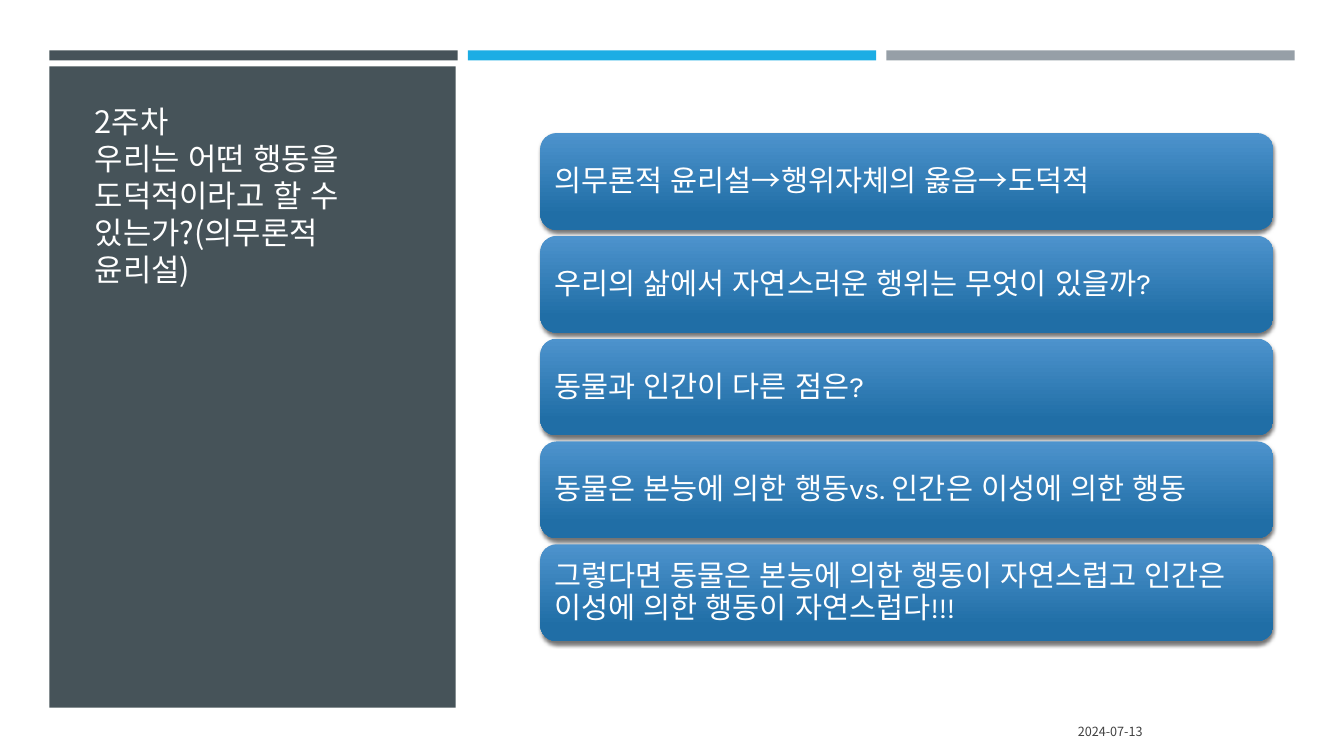
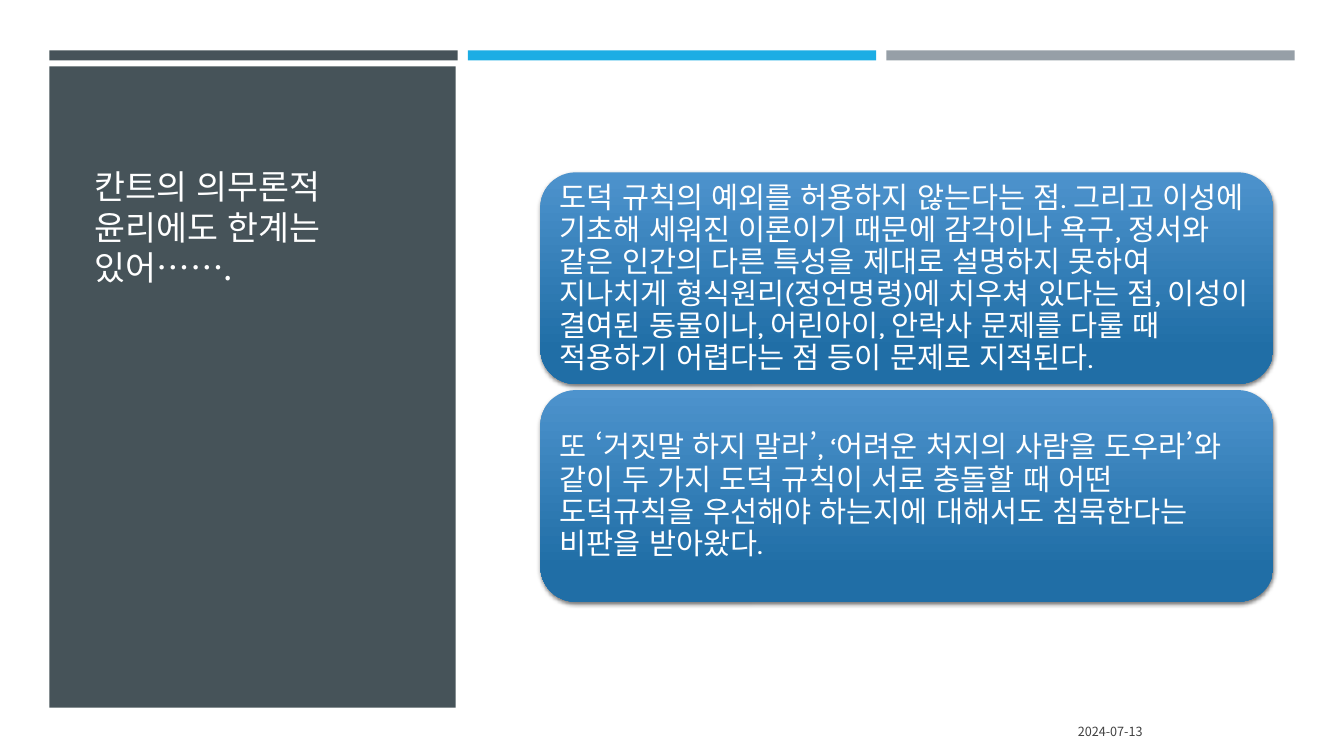
"""Build two lesson slides on deontological ethics."""
from dataclasses import dataclass

from lxml import etree
from pptx import Presentation
from pptx import util as u
from pptx.dml.color import RGBColor
from pptx.enum import lang, shapes, text
from pptx.oxml import ns

SLATE = RGBColor(0x46, 0x53, 0x59)
SKY = RGBColor(0x1C, 0xAD, 0xE4)
GREY = RGBColor(0x96, 0x9F, 0xA7)
CARD_TOP = RGBColor(0x4D, 0x93, 0xCD)
CARD_BOTTOM = RGBColor(0x20, 0x6E, 0xA6)
WHITE = RGBColor(0xFF, 0xFF, 0xFF)
DARK = RGBColor(0x40, 0x40, 0x40)

KOREAN_FONT = "Noto Sans CJK KR"
CARD_FONT = "Karla"
DATE = "2024-07-13"

SLIDE_WIDTH, SLIDE_HEIGHT = 13.33, 7.5
MARGIN = 0.49
BAND_TOP, BAND_WIDTH, BAND_HEIGHT, BAND_GAP = 0.5, 4.05, 0.1, 0.1
CARD_LEFT, CARD_WIDTH, CARD_GAP, STACK_MIDDLE = 5.36, 7.27, 0.06, 3.84
CARD_INSET = 0.09


@dataclass(frozen=True)
class Box:
    left: float
    top: float
    width: float
    height: float

    def emu(self) -> tuple[int, ...]:
        return tuple(u.Inches(n) for n in (self.left, self.top, self.width, self.height))


@dataclass(frozen=True)
class TextStyle:
    font: str
    size: float
    color: RGBColor
    pitch: float
    align: text.PP_ALIGN = text.PP_ALIGN.LEFT


@dataclass(frozen=True)
class Lesson:
    title: tuple[str, ...]
    title_size: int
    card_height: float
    cards: tuple[str, ...]


PANEL = Box(MARGIN, 0.66, 4.03, 6.36)
TITLE = Box(0.84, 1.02, 3.32, 1.88)
DATE_BOX = Box(8.32, 7.06, 3.11, 0.4)
CARD_STYLE = TextStyle(CARD_FONT, 21, WHITE, 1.09)
DATE_STYLE = TextStyle(KOREAN_FONT, 9, DARK, 1.2, text.PP_ALIGN.RIGHT)

LESSONS = (
    Lesson(
        ("2주차", "우리는 어떤 행동을 도덕적이라고 할 수 있는가?(의무론적 윤리설)"),
        22,
        0.96,
        (
            "의무론적 윤리설→행위자체의 옳음→도덕적",
            "우리의 삶에서 자연스러운 행위는 무엇이 있을까?",
            "동물과 인간이 다른 점은?",
            "동물은 본능에 의한 행동vs. 인간은 이성에 의한 행동",
            "그렇다면 동물은 본능에 의한 행동이 자연스럽고 인간은 이성에 의한 행동이 자연스럽다!!!",
        ),
    ),
    Lesson(
        ("칸트의 의무론적 윤리에도 한계는 있어…….",),
        24,
        2.1,
        (
            "도덕 규칙의 예외를 허용하지 않는다는 점. 그리고 이성에 기초해 세워진 이론이기 때문에 "
            "감각이나 욕구, 정서와 같은 인간의 다른 특성을 제대로 설명하지 못하여 지나치게 "
            "형식원리(정언명령)에 치우쳐 있다는 점, 이성이 결여된 동물이나, 어린아이, 안락사 문제를 "
            "다룰 때 적용하기 어렵다는 점 등이 문제로 지적된다.",
            "또 ‘거짓말 하지 말라’, ‘어려운 처지의 사람을 도우라’와 같이 두 가지 도덕 규칙이 서로 "
            "충돌할 때 어떤 도덕규칙을 우선해야 하는지에 대해서도 침묵한다는 비판을 받아왔다.",
        ),
    ),
)


def write(frame, lines: tuple[str, ...], style: TextStyle, anchor: text.MSO_ANCHOR) -> None:
    frame.word_wrap = True
    frame.auto_size = text.MSO_AUTO_SIZE.NONE
    frame.vertical_anchor = anchor
    paragraph = frame.paragraphs[0]
    paragraph.alignment = style.align
    paragraph.line_spacing = u.Pt(style.size * style.pitch)
    for index, line in enumerate(lines):
        if index:
            paragraph.add_line_break()
        run = paragraph.add_run()
        run.text = line
        run.font.name = style.font
        run.font.size = u.Pt(style.size)
        run.font.color.rgb = style.color
        run.font.language_id = lang.MSO_LANGUAGE_ID.KOREAN
        properties = run._r.get_or_add_rPr()
        etree.SubElement(properties, ns.qn("a:ea"), typeface=KOREAN_FONT)


def add_block(slide, box: Box, color: RGBColor) -> None:
    block = slide.shapes.add_shape(shapes.MSO_SHAPE.RECTANGLE, *box.emu())
    block.shadow.inherit = False
    block.fill.solid()
    block.fill.fore_color.rgb = color
    block.line.fill.background()


def add_frame(slide) -> None:
    for column, color in enumerate((SLATE, SKY, GREY)):
        left = MARGIN + column * (BAND_WIDTH + BAND_GAP)
        add_block(slide, Box(left, BAND_TOP, BAND_WIDTH, BAND_HEIGHT), color)
    add_block(slide, PANEL, SLATE)
    date = slide.shapes.add_textbox(*DATE_BOX.emu())
    write(date.text_frame, (DATE,), DATE_STYLE, text.MSO_ANCHOR.MIDDLE)


def add_title(slide, lesson: Lesson) -> None:
    title = slide.shapes.title
    title.left, title.top, title.width, title.height = TITLE.emu()
    style = TextStyle(KOREAN_FONT, lesson.title_size, WHITE, 1.2)
    write(title.text_frame, lesson.title, style, text.MSO_ANCHOR.BOTTOM)
    slide.shapes.element.append(title.element)


def cast_shadow(card) -> None:
    card.shadow.inherit = False
    effects = card.element.spPr.find(ns.qn("a:effectLst"))
    shadow = etree.SubElement(
        effects, ns.qn("a:outerShdw"), blurRad=str(u.Pt(3)), dist=str(u.Pt(2)),
        dir="5400000", rotWithShape="0",
    )
    black = etree.SubElement(shadow, ns.qn("a:srgbClr"), val="000000")
    etree.SubElement(black, ns.qn("a:alpha"), val="55000")


def add_card(slide, box: Box, sentence: str) -> None:
    card = slide.shapes.add_shape(shapes.MSO_SHAPE.ROUNDED_RECTANGLE, *box.emu())
    card.line.fill.background()
    card.fill.gradient()
    card.fill.gradient_angle = 270
    stops = zip(card.fill.gradient_stops, ((0, CARD_TOP), (0.84, CARD_BOTTOM)))
    for stop, (position, color) in stops:
        stop.position = position
        stop.color.rgb = color
    cast_shadow(card)
    frame = card.text_frame
    frame.margin_left = frame.margin_right = u.Inches(CARD_INSET)
    frame.margin_top = frame.margin_bottom = 0
    write(frame, (sentence,), CARD_STYLE, text.MSO_ANCHOR.MIDDLE)


def add_cards(slide, lesson: Lesson) -> None:
    pitch = lesson.card_height + CARD_GAP
    top = STACK_MIDDLE - (len(lesson.cards) * pitch - CARD_GAP) / 2
    for row, sentence in enumerate(lesson.cards):
        box = Box(CARD_LEFT, top + row * pitch, CARD_WIDTH, lesson.card_height)
        add_card(slide, box, sentence)


def main() -> None:
    deck = Presentation()
    deck.slide_width = u.Inches(SLIDE_WIDTH)
    deck.slide_height = u.Inches(SLIDE_HEIGHT)
    title_only = deck.slide_layouts.get_by_name("Title Only")
    for lesson in LESSONS:
        slide = deck.slides.add_slide(title_only)
        add_frame(slide)
        add_title(slide, lesson)
        add_cards(slide, lesson)
    deck.save("out.pptx")


if __name__ == "__main__":
    main()
